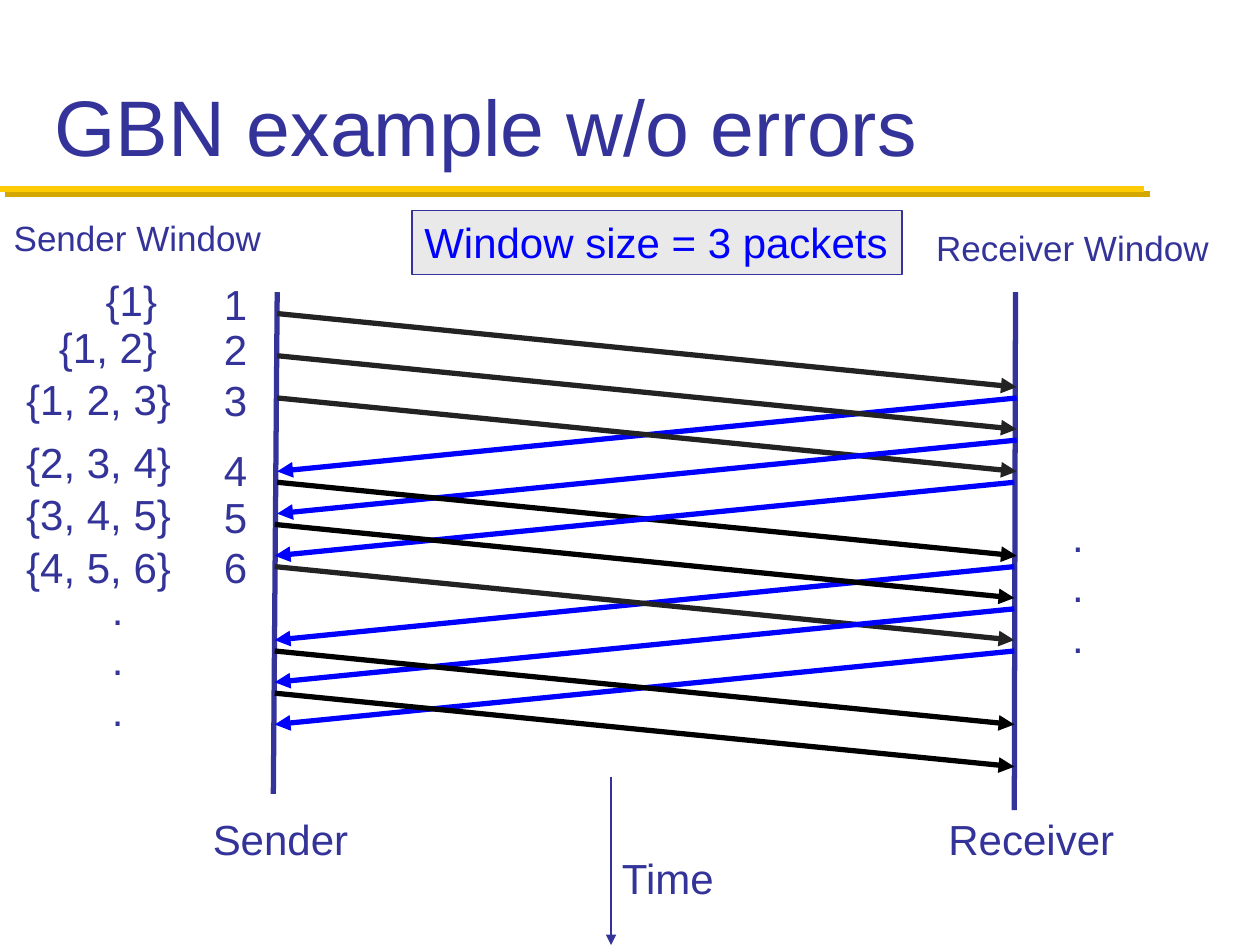
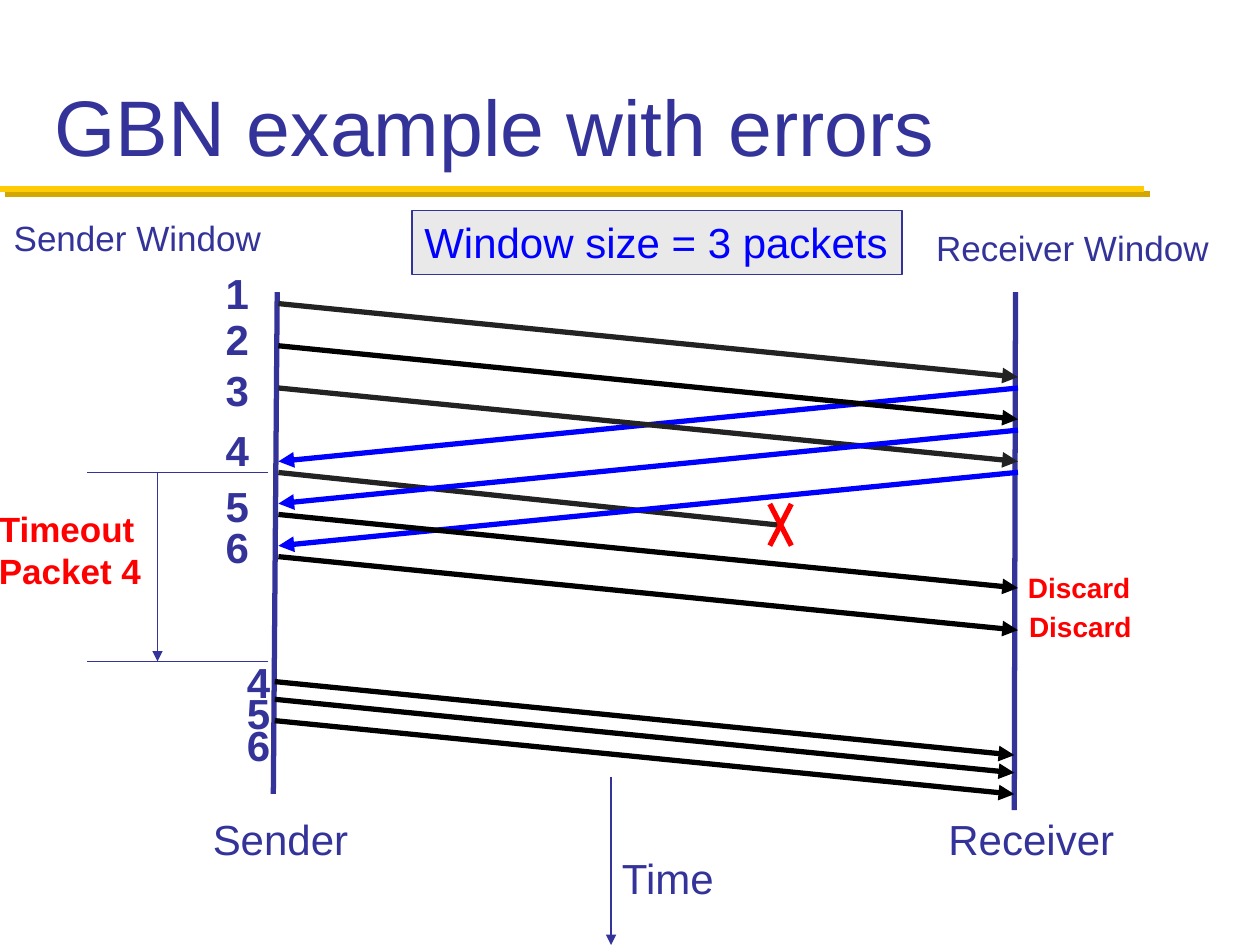
import pptx
import pptx.util
import pptx.dml.color
import pptx.enum.shapes
import pptx.enum.text
import pptx.oxml

Pt = pptx.util.Pt
RGBColor = pptx.dml.color.RGBColor
Align = pptx.enum.text.PP_ALIGN
Anchor = pptx.enum.text.MSO_ANCHOR

NAVY = RGBColor(0x33, 0x33, 0x99)
BLUE = RGBColor(0x00, 0x00, 0xFF)
RED = RGBColor(0xFF, 0x00, 0x00)
BLACK = RGBColor(0x00, 0x00, 0x00)
GREY = RGBColor(0x23, 0x23, 0x23)
PALE = RGBColor(0xE9, 0xE9, 0xE9)
GOLD = RGBColor(0xFF, 0xCB, 0x05)
OCHRE = RGBColor(0xD3, 0xA6, 0x00)

STEP = 24.1
SPAN = 422.6
DROP = 42
TONES = {"ack": BLUE, "grey": GREY, "black": BLACK}


def write(frame, words, size=24, color=NAVY, bold=False, align=Align.LEFT,
          anchor=Anchor.TOP, before=0, inset=(7.2, 3.6), wrap=False):
    frame.word_wrap = wrap
    frame.auto_size = pptx.enum.text.MSO_AUTO_SIZE.NONE
    frame.vertical_anchor = anchor
    frame.margin_left = frame.margin_right = Pt(inset[0])
    frame.margin_top = frame.margin_bottom = Pt(inset[1])
    frame.text = words
    for para in frame.paragraphs:
        para.alignment = align
        para.space_before = Pt(before)
        font = para.runs[0].font
        font.name = "Arial"
        font.size = Pt(size)
        font.bold = bold
        font.color.rgb = color


class Deck:
    def __init__(self):
        self.show = pptx.Presentation()
        self.show.slide_width = Pt(720)
        self.show.slide_height = Pt(540)
        self.slide = None

    def open(self, title):
        self.slide = self.show.slides.add_slide(self.show.slide_layouts[5])
        head = self.slide.shapes.title
        head.left, head.top, head.width, head.height = map(Pt, (24, 12, 672, 90))
        write(head.text_frame, title, size=45, anchor=Anchor.BOTTOM, wrap=True)
        self.line(3, 111, 657, 111, OCHRE, 3.5)
        self.line(0, 108, 654, 108, GOLD, 3.5)

    def line(self, x1, y1, x2, y2, color=NAVY, width=3, arrow=False):
        link = self.slide.shapes.add_connector(
            pptx.enum.shapes.MSO_CONNECTOR.STRAIGHT, *map(Pt, (x1, y1, x2, y2)))
        link.line.color.rgb = color
        link.line.width = Pt(width)
        props = link._element.spPr
        if arrow:
            tail = pptx.oxml.parse_xml(
                '<a:tailEnd xmlns:a="http://schemas.openxmlformats.org/'
                'drawingml/2006/main" type="triangle"/>')
            link.line._get_or_add_ln().append(tail)
        props.append(pptx.oxml.parse_xml(
            '<a:effectLst xmlns:a="http://schemas.openxmlformats.org/'
            'drawingml/2006/main"/>'))

    def text(self, words, x, y, w, h, **look):
        box = self.slide.shapes.add_textbox(*map(Pt, (x, y, w, h)))
        write(box.text_frame, words, **look)

    def panel(self, words, x, y, w, h, **look):
        box = self.slide.shapes.add_shape(
            pptx.enum.shapes.MSO_SHAPE.RECTANGLE, *map(Pt, (x, y, w, h)))
        box.shadow.inherit = False
        box.fill.solid()
        box.fill.fore_color.rgb = PALE
        box.line.color.rgb = NAVY
        box.line.width = Pt(0.75)
        write(box.text_frame, words, **look)

    def digit(self, words, x, y, bold=False):
        self.text(words, x, y, 26.6, 35.3, bold=bold, inset=(6.5, 2.9))

    def packet(self, x, y, color=BLACK):
        self.line(x, y, x + SPAN, y + DROP, color, arrow=True)

    def ack(self, x, y):
        self.line(x + SPAN, y, x, y + DROP, BLUE, arrow=True)

    def flow(self, x, top, items):
        for item in items.split():
            kind, row = item.split(":")
            y = top + STEP * int(row)
            if kind == "ack":
                self.ack(x, y)
            else:
                self.packet(x, y, TONES[kind])

    def frame(self, title):
        self.open(title)
        self.line(349.2, 444, 349.2, 540, width=1, arrow=True)
        for words, x, y, w in (("Time", 347.8, 483.8, 67.7),
                               ("Sender", 113.8, 461.5, 92.9),
                               ("Receiver", 534.2, 461.5, 110.2)):
            self.text(words, x, y, w, 36, align=Align.CENTER,
                      anchor=Anchor.MIDDLE, before=4.8)
        self.panel("Window size = 3 packets", 235.4, 120.2, 280.1, 36.7, color=BLUE)
        self.line(158.4, 167, 156.2, 453.6)
        self.line(580.3, 167, 579.6, 463)
        self.text("Sender Window", 0.7, 120.2, 164.2, 31, size=20)
        self.text("Receiver Window", 527.8, 126, 180, 31, size=20)


def clean(deck):
    deck.frame("GBN example w/o errors")
    deck.flow(158.4, 179.2, "grey:0 ack:2 grey:1 grey:2 ack:3 black:4")
    deck.flow(157, 179.2, "ack:4 ack:6 black:5 grey:6 ack:7 ack:8 black:8 black:9")
    rows = (("1", 156.2, "{1}", 53.3, 153.4, 43.9),
            ("2", 182.2, "{1, 2}", 26.6, 180, 73.4),
            ("3", 211, "{1, 2, 3}", 7.9, 210.2, 100.8),
            ("4", 251.3, "{2, 3, 4}", 7.9, 246.2, 100.8),
            ("5", 277.9, "{3, 4, 5}", 7.9, 275.8, 100.8),
            ("6", 306.7, "{4, 5, 6}", 7.9, 306, 100.8))
    for number, high, window, x, y, w in rows:
        deck.digit(number, 121.5, high)
        deck.text(window, x, y, w, 36)
    for x, y in ((56.9, 329.8), (605.5, 288)):
        deck.text(".\n.\n.", x, y, 20.9, 94.3)


def faulty(deck):
    deck.frame("GBN example with errors")
    deck.flow(159.1, 173.5, "grey:0 ack:2")
    deck.line(159.1, 270, 446.4, 300.2, GREY)
    deck.flow(159.1, 173.5, "black:1 grey:2 ack:3 ack:4 black:5 black:6")
    for start, end in ((439.9, 452.2), (452.2, 439.9)):
        deck.line(start, 288, end, 311.8, RED)
    for number, y in enumerate((149.8, 176.4, 205.2, 239.8, 271.4, 295.2), 1):
        deck.digit(str(number), 122.4, y, bold=True)
    for y in (270, 378):
        deck.line(153.4, y, 49.7, y, width=0.75)
    deck.line(90, 270, 90, 378, width=0.75, arrow=True)
    deck.text("Timeout\nPacket 4", -7.2, 287.3, 95, 39.6, size=20,
              color=RED, bold=True, inset=(6.5, 2.9))
    for index, y in enumerate((389.5, 399.6, 411.8)):
        deck.digit(str(index + 4), 134.6, 372.2 + 18 * index, bold=True)
        deck.packet(157, y)
    for x, y in ((580.3, 322.6), (581, 344.9)):
        deck.text("Discard", x, y, 73.4, 26.6, size=16, color=RED, bold=True)


def main():
    deck = Deck()
    clean(deck)
    faulty(deck)
    deck.show.save("out.pptx")


if __name__ == "__main__":
    main()
